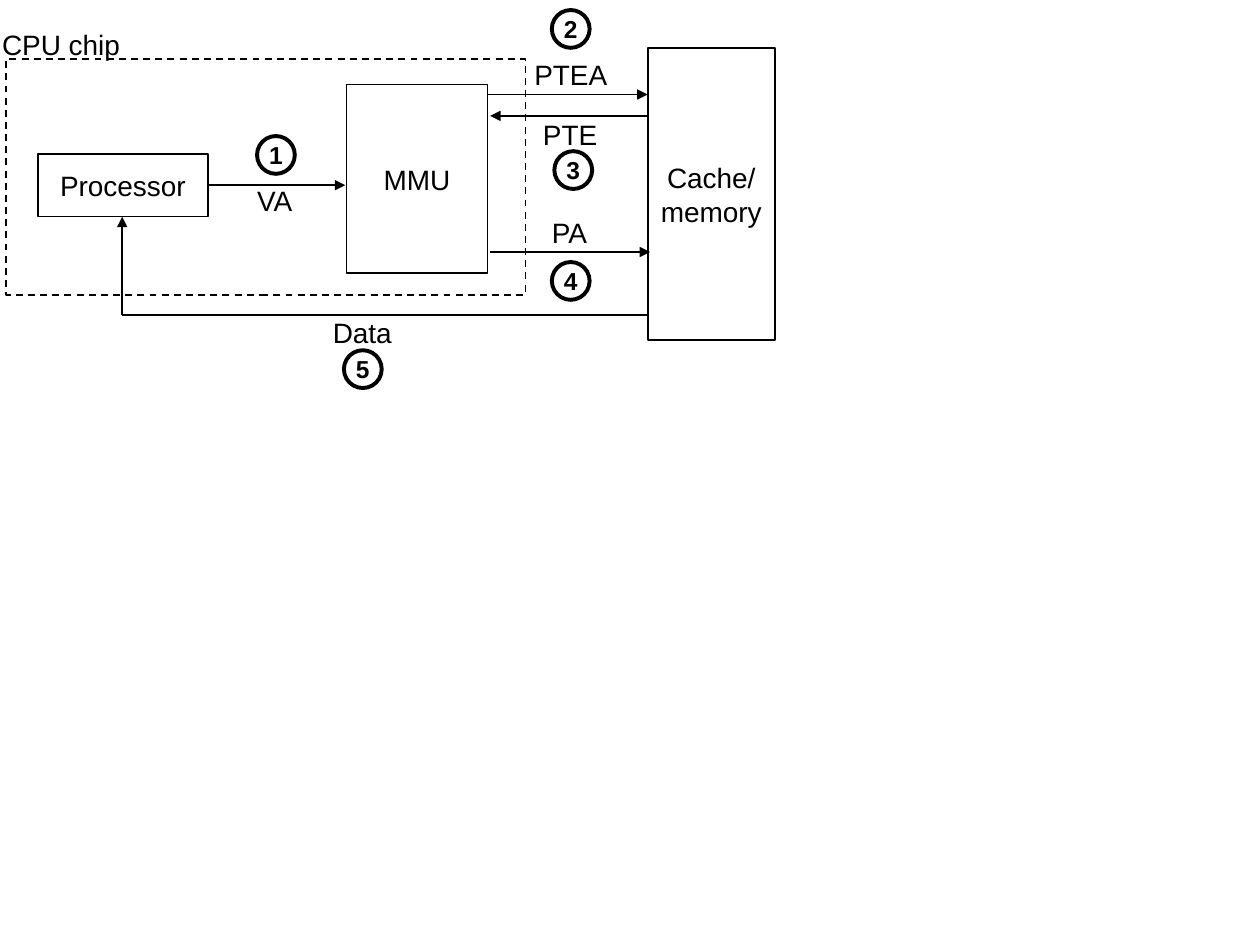
"""Build a slide showing the steps of a page hit in address translation."""
from dataclasses import dataclass

from lxml.etree import SubElement
from pptx import Presentation
from pptx.dml.color import RGBColor
from pptx.enum.dml import MSO_LINE
from pptx.enum.shapes import MSO_CONNECTOR, MSO_SHAPE
from pptx.enum.text import MSO_ANCHOR, MSO_AUTO_SIZE, PP_ALIGN
from pptx.oxml.ns import qn
from pptx.util import Inches, Pt

BLACK = RGBColor(0, 0, 0)
STEP_SIZE = 0.3
CENTERED = {"anchor": MSO_ANCHOR.MIDDLE, "align": PP_ALIGN.CENTER, "spacing": 1.0, "margins": (0.1, 0.05)}
COMPACT = {"anchor": MSO_ANCHOR.TOP, "align": PP_ALIGN.LEFT, "spacing": 0.85, "margins": (0.07, 0.03)}


@dataclass(frozen=True)
class Box:
    left: float
    top: float
    width: float
    height: float
    text: str = ""
    dashed: bool = False


@dataclass(frozen=True)
class Label:
    box: Box
    style: dict


@dataclass(frozen=True)
class Step:
    left: float
    top: float
    number: int


@dataclass(frozen=True)
class Line:
    start: tuple[float, float]
    end: tuple[float, float]
    arrow: bool = True


BOXES = [
    Box(0.3, 1.22, 1.35, 0.5, "Processor"),
    Box(2.75, 0.67, 1.12, 1.5, "MMU"),
    Box(5.14, 0.38, 1.01, 2.32, "Cache/\nmemory"),
    Box(0.05, 0.47, 4.12, 1.87, dashed=True),
]
LABELS = [
    Label(Box(1.97, 1.47, 0.44, 0.28, "VA"), COMPACT),
    Label(Box(4.17, 0.47, 0.72, 0.28, "PTEA"), COMPACT),
    Label(Box(4.21, 0.88, 0.63, 0.37, "PTE"), CENTERED),
    Label(Box(4.31, 1.72, 0.44, 0.28, "PA"), COMPACT),
    Label(Box(2.54, 2.45, 0.67, 0.37, "Data"), CENTERED),
    Label(Box(-0.12, 0.17, 1.21, 0.37, "CPU chip"), CENTERED),
]
STEPS = [
    Step(2.04, 1.08, 1),
    Step(4.38, 0.08, 2),
    Step(4.4, 1.2, 3),
    Step(4.38, 2.08, 4),
    Step(2.73, 2.78, 5),
]
LINES = [
    Line((1.65, 1.47), (2.74, 1.47)),
    Line((0.97, 2.5), (0.97, 1.72)),
    Line((5.14, 0.92), (3.89, 0.92)),
    Line((3.87, 0.75), (5.14, 0.75)),
    Line((5.14, 2.5), (0.97, 2.5), arrow=False),
    Line((3.89, 2), (5.16, 2)),
]


def write_text(shape, text: str, style: dict, size: int = 16, bold: bool = False) -> None:
    """Fill a shape with text in the given style."""
    frame = shape.text_frame
    horizontal, vertical = (Inches(margin) for margin in style["margins"])
    frame_format = {
        "text": text,
        "word_wrap": False,
        "vertical_anchor": style["anchor"],
        "margin_left": horizontal,
        "margin_right": horizontal,
        "margin_top": vertical,
        "margin_bottom": vertical,
    }
    for name, value in frame_format.items():
        setattr(frame, name, value)
    font_format = {"name": "Arial", "size": Pt(size), "bold": bold}
    for paragraph in frame.paragraphs:
        paragraph.alignment = style["align"]
        paragraph.line_spacing = style["spacing"]
        for name, value in font_format.items():
            setattr(paragraph.font, name, value)
        paragraph.font.color.rgb = BLACK


def add_outline(slide, kind: MSO_SHAPE, box: Box, line_width: float):
    """Add an unfilled shape with a black outline."""
    lengths = (Inches(value) for value in (box.left, box.top, box.width, box.height))
    shape = slide.shapes.add_shape(kind, *lengths)
    shape.shadow.inherit = False
    shape.fill.background()
    shape.line.color.rgb = BLACK
    shape.line.width = Pt(line_width)
    return shape


def add_box(slide, box: Box) -> None:
    """Add a component rectangle or the dashed chip boundary."""
    shape = add_outline(slide, MSO_SHAPE.RECTANGLE, box, 1)
    if box.dashed:
        shape.line.dash_style = MSO_LINE.DASH
    if box.text:
        write_text(shape, box.text, CENTERED)


def add_step(slide, step: Step) -> None:
    """Add a numbered step circle."""
    box = Box(step.left, step.top, STEP_SIZE, STEP_SIZE)
    shape = add_outline(slide, MSO_SHAPE.OVAL, box, 2.25)
    write_text(shape, str(step.number), CENTERED, size=14, bold=True)


def add_label(slide, label: Label) -> None:
    """Add a free-standing label."""
    box = label.box
    lengths = (Inches(value) for value in (box.left, box.top, box.width, box.height))
    shape = slide.shapes.add_textbox(*lengths)
    write_text(shape, box.text, label.style)
    shape.text_frame.auto_size = MSO_AUTO_SIZE.SHAPE_TO_FIT_TEXT


def add_line(slide, line: Line) -> None:
    """Add a straight signal line, with an arrowhead if wanted."""
    lengths = (Inches(value) for value in (*line.start, *line.end))
    connector = slide.shapes.add_connector(MSO_CONNECTOR.STRAIGHT, *lengths)
    connector.line.color.rgb = BLACK
    connector.line.width = Pt(1)
    if line.arrow:
        SubElement(connector.line._get_or_add_ln(), qn("a:tailEnd"), type="triangle")
    SubElement(connector._element.spPr, qn("a:effectLst"))


def main() -> None:
    """Create and save the presentation."""
    presentation = Presentation()
    presentation.slide_width = Inches(10)
    presentation.slide_height = Inches(7.5)
    slide = presentation.slides.add_slide(presentation.slide_layouts[6])
    for box in BOXES:
        add_box(slide, box)
    for line in LINES:
        add_line(slide, line)
    for label in LABELS:
        add_label(slide, label)
    for step in STEPS:
        add_step(slide, step)
    presentation.save("out.pptx")


if __name__ == "__main__":
    main()
